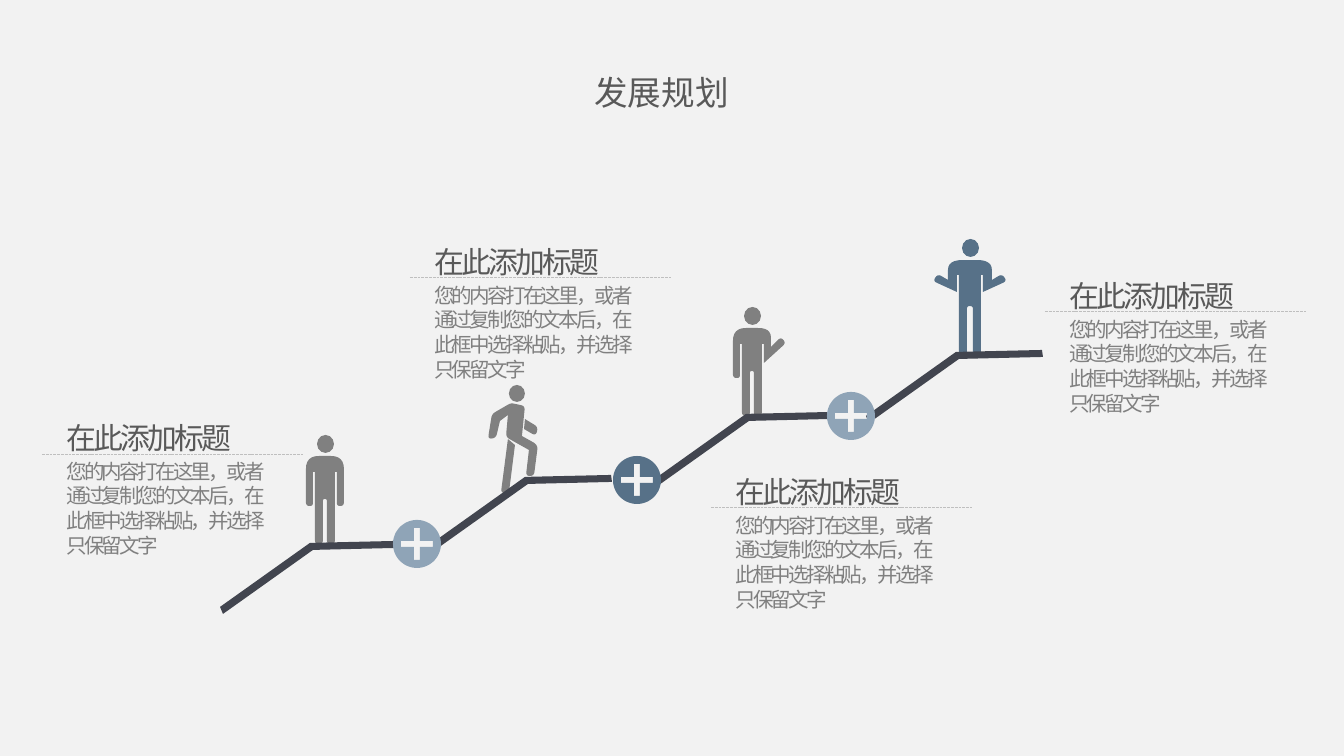
from math import cos, hypot, pi, sin

from lxml.etree import SubElement
from pptx import Presentation
from pptx.dml.color import RGBColor
from pptx.enum.dml import MSO_LINE
from pptx.enum.shapes import MSO_CONNECTOR, MSO_SHAPE
from pptx.enum.text import MSO_ANCHOR, MSO_AUTO_SIZE, PP_ALIGN
from pptx.oxml.ns import qn
from pptx.util import Pt

EMU_PER_PIXEL = 914400 / 134.4
GRAY, BLUE, PALE_BLUE, DARK = "808080", "577188", "8FA4B7", "42454F"
HEADING = "在此添加标题"
BODY = "您的内容打在这里，或者通过复制您的文本后，在此框中选择粘贴，并选择只保留文字"

# Half outlines as (x, y, corner radius), measured from the neck
HANGING_ARM = [(19, 0, 13), (19, 50, 4), (12, 50, 3), (12, 16, 0)]
RAISED_ARM = [(19, 0, 13), (19, 19, 0), (29, 9, 4), (34, 15, 4), (12, 35, 0), (12, 16, 0)]
OPEN_ARM = [(22, 0, 15), (22, 20, 0), (32, 14, 4), (37, 21, 4), (13, 32, 0), (13, 15, 0)]
LEG = [(10, 16, 0), (10, 88, 4), (2, 88, 4), (2, 43, 2)]
TALL_LEG = [(11, 15, 0), (11, 95, 4), (3, 95, 4), (3, 46, 3)]

RUNNER_PARTS = [
    [(488, 439, 4), (492, 414, 4), (511, 403, 3), (525, 406, 4), (522, 436, 0),
     (538, 445, 5), (534, 476, 4), (526, 476, 4), (529, 450, 0), (506, 437, 4),
     (508, 415, 0), (500, 421, 0), (496, 438, 4)],
    [(508, 439, 0), (515, 445, 0), (509, 493, 4), (501, 493, 4)],
    [(525, 419, 0), (538, 427, 4), (536, 436, 5), (524, 429, 0)],
]
STEP = [(176, 0), (90, 2), (0, 66), (3, 73), (93, 9), (177, 7)]


def emu(pixels):
    """Turn pixels into EMU."""
    return round(pixels * EMU_PER_PIXEL)


def color(value):
    """Turn a hex string into a colour."""
    return RGBColor.from_string(value)


def rounded(corners):
    """Return the points of a polygon with its corners rounded."""
    points = []
    for index, (x, y, radius) in enumerate(corners):
        if not radius:
            points.append((x, y))
            continue
        ends = []
        for neighbor in (corners[index - 1], corners[(index + 1) % len(corners)]):
            length = hypot(neighbor[0] - x, neighbor[1] - y)
            share = min(radius / length, 0.5)
            ends.append((x + (neighbor[0] - x) * share, y + (neighbor[1] - y) * share))
        for step in range(7):
            t = step / 6
            points.append(tuple((1 - t) ** 2 * start + 2 * t * (1 - t) * middle + t * t * end
                                for start, middle, end in zip(ends[0], (x, y), ends[1])))
    return points


class SlideBuilder:
    """Holds the style and the current slide."""

    font = "Arial"
    title_font = "Noto Sans CJK SC"
    text_color = "595959"

    def __init__(self, slide):
        """Keep the slide and color its background."""
        self.slide = slide
        self.shapes = slide.shapes
        slide.background.fill.solid()
        slide.background.fill.fore_color.rgb = color("F2F2F2")

    def paint(self, shape, fill):
        """Give a shape a plain fill."""
        shape.shadow.inherit = False
        shape.fill.solid()
        shape.fill.fore_color.rgb = color(fill)
        shape.line.fill.background()

    def outline(self, contours, fill):
        """Draw a freeform from one or more closed contours."""
        scaled = [[(emu(x), emu(y)) for x, y in contour] for contour in contours]
        builder = self.shapes.build_freeform(*scaled[0][0], scale=1.0)
        for index, contour in enumerate(scaled):
            if index:
                builder.move_to(*contour[0])
            builder.add_line_segments(contour[1:], close=True)
        self.paint(builder.convert_to_shape(), fill)

    def head(self, left, top, width, height, fill):
        """Draw an oval head."""
        shape = self.shapes.add_shape(MSO_SHAPE.OVAL, emu(left), emu(top), emu(width), emu(height))
        self.paint(shape, fill)

    def person(self, center, neck, left_arm, right_arm, leg, fill):
        """Draw a standing person around a center line."""
        self.head(center - 8, neck - 21, 17, 18, fill)
        right = [(center + x, neck + y, radius) for x, y, radius in right_arm + leg]
        left = [(center - x, neck + y, radius) for x, y, radius in left_arm + leg]
        self.outline([rounded(right + left[::-1])], fill)

    def badge(self, x, y, fill, radius=24, arm=16, half=3):
        """Draw a disc with a plus cut out of it."""
        disc = [(x + radius * cos(pi * step / 36), y + radius * sin(pi * step / 36))
                for step in range(72)]
        quarter = [(half, -arm), (half, -half), (arm, -half)]
        plus = []
        for _ in range(4):
            plus += [(x + across, y + down) for across, down in quarter]
            quarter = [(-down, across) for across, down in quarter]
        self.outline([disc, plus], fill)

    def add_text(self, shape, text, size, font, fill, spacing=None):
        """Put one run of text into a shape and return its paragraph."""
        frame = shape.text_frame
        frame.word_wrap = True
        frame.auto_size = MSO_AUTO_SIZE.NONE
        frame.vertical_anchor = MSO_ANCHOR.TOP
        paragraph = frame.paragraphs[0]
        run = paragraph.add_run()
        run.text = text
        run.font.size = Pt(size)
        run.font.name = font
        run.font.color.rgb = color(fill)
        if spacing:
            run._r.get_or_add_rPr().set("spc", str(spacing))
        return paragraph

    def title(self, text):
        """Fill and move the title placeholder."""
        shape = self.shapes.title
        shape.left, shape.top, shape.width, shape.height = map(emu, (511, 65, 301, 54))
        paragraph = self.add_text(shape, text, 18, self.title_font, self.text_color)
        paragraph.alignment = PP_ALIGN.CENTER
        properties = paragraph.runs[0]._r.get_or_add_rPr()
        SubElement(properties, qn("a:ea")).set("typeface", self.title_font)

    def text_box(self, left, top, width, height, text, size, fill):
        """Add a text box with tight letters and return its paragraph."""
        shape = self.shapes.add_textbox(emu(left), emu(top), emu(width), emu(height))
        return self.add_text(shape, text, size, self.font, fill, -150)

    def text_block(self, left, top):
        """Add a heading and a text on either side of a dashed rule."""
        self.text_box(left + 11, top - 2, 237, 113, BODY, 11, GRAY)
        heading = self.text_box(left + 11, top - 52, 262, 56, HEADING, 16, self.text_color)
        heading.line_spacing = 1.3
        rule = self.shapes.add_connector(MSO_CONNECTOR.STRAIGHT, emu(left), emu(top),
                                         emu(left + 261), emu(top))
        rule.line.color.rgb = color("BFBFBF")
        rule.line.width = Pt(0.5)
        rule.line.dash_style = MSO_LINE.SQUARE_DOT
        SubElement(rule._element.spPr, qn("a:effectLst"))


def main():
    """Build the slide and save it."""
    presentation = Presentation()
    presentation.slide_width, presentation.slide_height = emu(1344), emu(756)
    builder = SlideBuilder(presentation.slides.add_slide(presentation.slide_layouts[5]))
    builder.title("发展规划")
    builder.person(325, 456, HANGING_ARM, HANGING_ARM, LEG, GRAY)
    builder.person(752, 328, HANGING_ARM, RAISED_ARM, LEG, GRAY)
    builder.person(970, 260, OPEN_ARM, OPEN_ARM, TALL_LEG, BLUE)
    builder.head(509, 385, 16, 17, GRAY)
    for part in RUNNER_PARTS:
        builder.outline([rounded(part)], GRAY)
    for left, top in [(220, 541), (435, 475), (656, 412), (866, 350)]:
        builder.outline([[(left + x, top + y) for x, y in STEP]], DARK)
    for x, y, fill in [(637, 480, BLUE), (417, 544, PALE_BLUE), (851, 416, PALE_BLUE)]:
        builder.badge(x, y, fill)
    for left, top in [(42, 454), (410, 278), (711, 508), (1045, 312)]:
        builder.text_block(left, top)
    presentation.save("out.pptx")


main()
